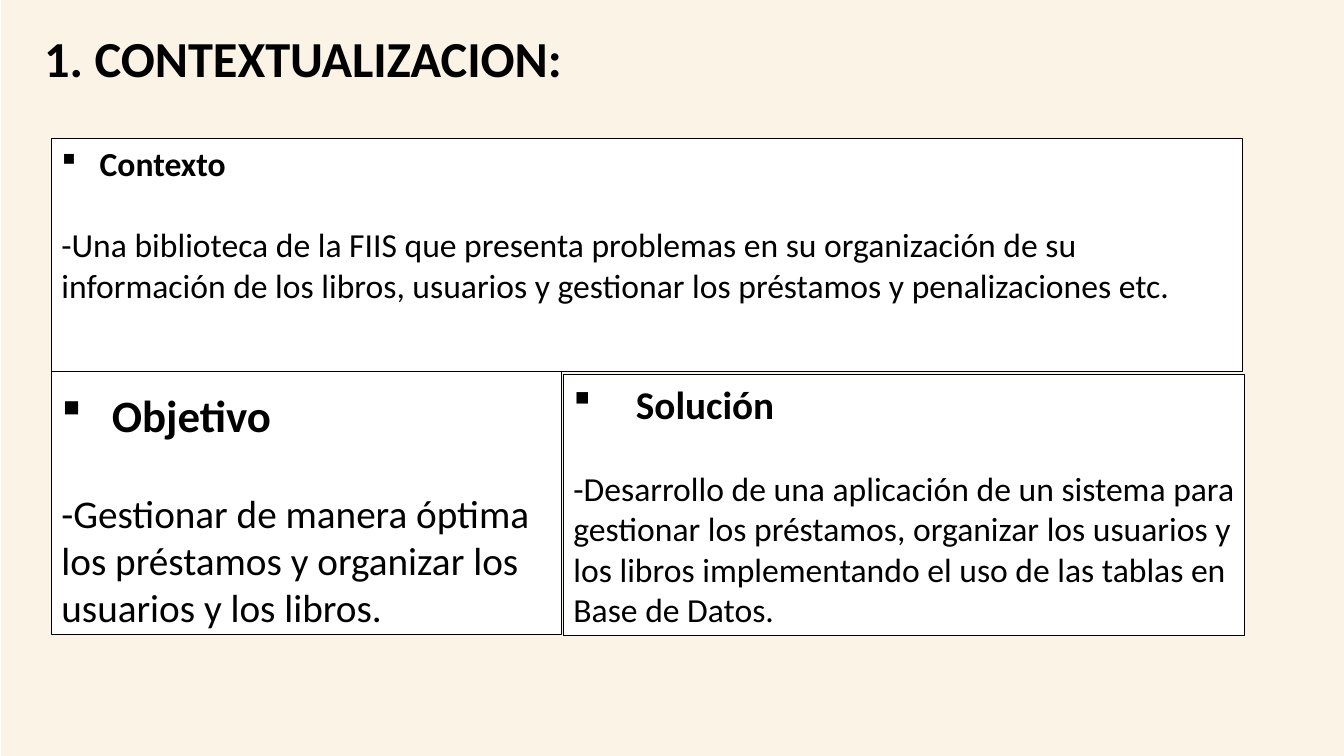
from lxml.etree import SubElement
from pptx import Presentation
from pptx.dml.color import RGBColor
from pptx.enum.shapes import MSO_SHAPE
from pptx.enum.text import MSO_ANCHOR, PP_ALIGN
from pptx.oxml.ns import qn
from pptx.util import Inches, Pt

COLORS = {"cream": "FBF3E5", "white": "FFFFFF", "black": "000000"}
LINE_HEIGHT = 1.22

presentation = Presentation()
presentation.slide_width = Inches(13.33)
presentation.slide_height = Inches(7.5)
slide = presentation.slides.add_slide(presentation.slide_layouts[6])


def add_box(left, top, width, height, fill=None, outlined=False):
    across = presentation.slide_width / 100
    down = presentation.slide_height / 100
    shape = slide.shapes.add_shape(
        MSO_SHAPE.RECTANGLE,
        int(left * across), int(top * down), int(width * across), int(height * down),
    )
    shape.shadow.inherit = False
    if fill:
        shape.fill.solid()
        shape.fill.fore_color.rgb = RGBColor.from_string(COLORS[fill])
    else:
        shape.fill.background()
    if outlined:
        shape.line.color.rgb = RGBColor.from_string(COLORS["black"])
        shape.line.width = Pt(0.75)
    else:
        shape.line.fill.background()
    shape.text_frame.word_wrap = True
    return shape


def write(paragraph, text, size, bold):
    paragraph.alignment = PP_ALIGN.LEFT
    run = paragraph.add_run()
    run.text = text
    for name, value in {"name": "Calibri", "size": Pt(size), "bold": bold}.items():
        setattr(run.font, name, value)
    run.font.color.rgb = RGBColor.from_string(COLORS["black"])


add_box(0.08, 0, 100, 100, "cream")

title = add_box(2.55, 2.93, 70.05, 9.47)
title.text_frame.vertical_anchor = MSO_ANCHOR.TOP
write(title.text_frame.paragraphs[0], "1. CONTEXTUALIZACION:", 36, True)

sections = [
    {
        "box": (3.83, 43.2, 37.95, 40.8), "anchor": MSO_ANCHOR.BOTTOM,
        "heading": "Objetivo", "heading_size": 32, "body_size": 28, "indent": 0.5,
        "body": "-Gestionar de manera óptima los préstamos y organizar los usuarios y los libros.",
    },
    {
        "box": (41.93, 49.6, 50.7, 34.53), "anchor": MSO_ANCHOR.TOP,
        "heading": "Solución", "heading_size": 28, "body_size": 24, "indent": 0.62,
        "body": "-Desarrollo de una aplicación de un sistema para gestionar los préstamos, "
                "organizar los usuarios y los libros implementando el uso de las tablas en "
                "Base de Datos.",
    },
    {
        "box": (3.83, 18.27, 88.65, 30.93), "anchor": MSO_ANCHOR.TOP,
        "heading": "Contexto", "heading_size": 24, "body_size": 24, "indent": 0.38,
        "body": "-Una biblioteca de la FIIS que presenta problemas en su organización de su "
                "información de los libros, usuarios y gestionar los préstamos y "
                "penalizaciones etc.",
    },
]

for section in sections:
    frame = add_box(*section["box"], "white", outlined=True).text_frame
    frame.vertical_anchor = section["anchor"]
    heading = frame.paragraphs[0]
    write(heading, section["heading"], section["heading_size"], True)
    heading.space_after = Pt(section["body_size"] * LINE_HEIGHT)
    properties = heading._p.get_or_add_pPr()
    properties.set("marL", str(Inches(section["indent"])))
    properties.set("indent", str(-Inches(section["indent"])))
    SubElement(properties, qn("a:buFont"), typeface="Wingdings")
    SubElement(properties, qn("a:buChar"), char="§")
    write(frame.add_paragraph(), section["body"], section["body_size"], False)

presentation.save("out.pptx")
